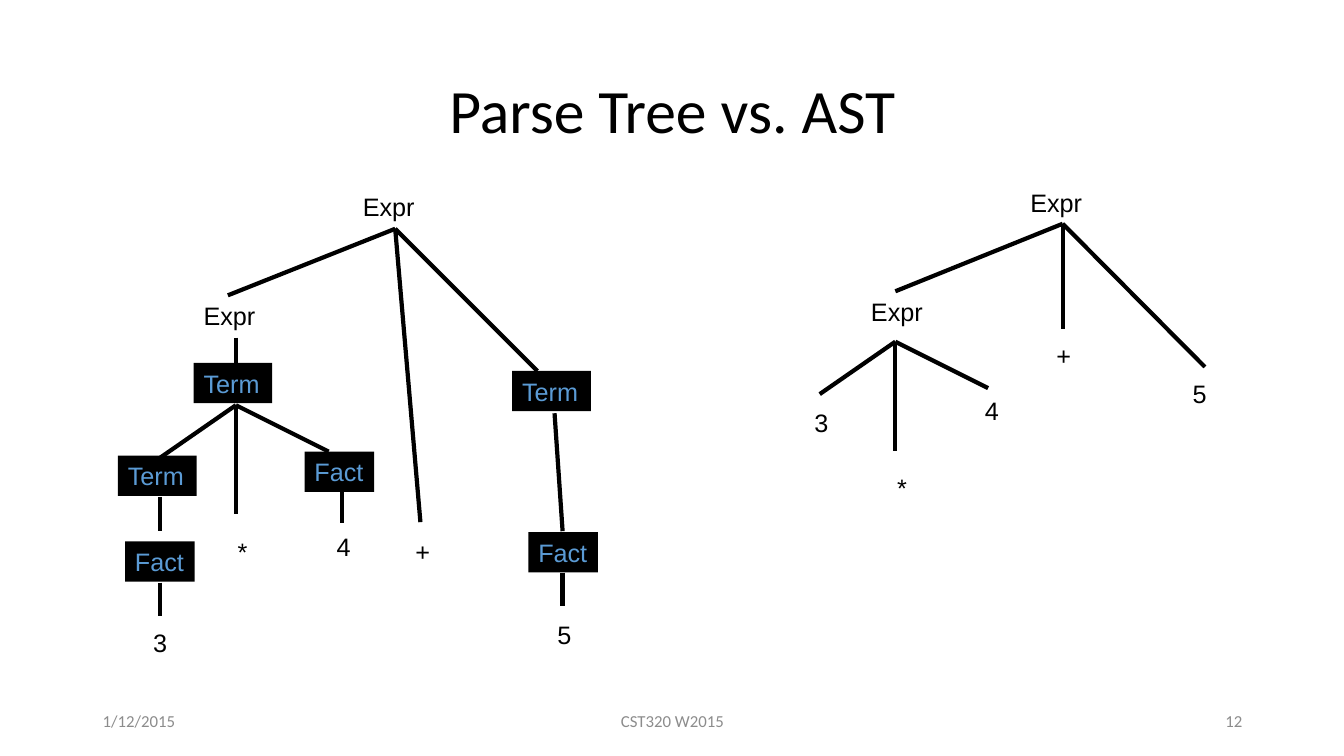
from typing import NamedTuple

from pptx import Presentation
from pptx.dml.color import RGBColor
from pptx.enum.shapes import MSO_CONNECTOR, MSO_SHAPE
from pptx.enum.text import MSO_ANCHOR, MSO_AUTO_SIZE, PP_ALIGN
from pptx.oxml.ns import qn
from pptx.util import Inches, Pt

BLACK = RGBColor(0x00, 0x00, 0x00)
BLUE = RGBColor(0x5B, 0x9B, 0xD5)
GRAY = RGBColor(0x8C, 0x8C, 0x8C)
LEFT, MID, RIGHT = PP_ALIGN.LEFT, PP_ALIGN.CENTER, PP_ALIGN.RIGHT
TOP, CORE = MSO_ANCHOR.TOP, MSO_ANCHOR.MIDDLE
GROW, FIXED = MSO_AUTO_SIZE.SHAPE_TO_FIT_TEXT, MSO_AUTO_SIZE.NONE
RECT, LINE = MSO_SHAPE.RECTANGLE, MSO_CONNECTOR.STRAIGHT

HIGH = 0.4
WIDE = {"Expr": 0.72, "Term": 0.78, "Fact": 0.69, "*": 0.3, "+": 0.35}
DIGIT = 0.34
BOXED = ("Term", "Fact")

Point = tuple[float, float]


class Node(NamedTuple):
    word: str
    left: float
    top: float


class Fan(NamedTuple):
    start: Point
    ends: list[Point]


class Label(NamedTuple):
    text: str
    left: float
    top: float
    width: float
    height: float
    size: int
    color: RGBColor
    align: PP_ALIGN


NODES = [
    # Parse tree
    Node("Expr", 3.5, 1.85), Node("Expr", 1.92, 2.93),
    Node("Term", 1.92, 3.6), Node("Term", 1.17, 4.52), Node("Term", 5.08, 3.68),
    Node("Fact", 1.24, 5.37), Node("Fact", 3.02, 4.48), Node("Fact", 5.24, 5.28),
    Node("3", 1.42, 6.17), Node("*", 2.26, 5.27), Node("4", 3.24, 5.22),
    Node("+", 4.02, 5.27), Node("5", 5.43, 6.09),
    # AST
    Node("Expr", 10.12, 1.81), Node("Expr", 8.54, 2.89),
    Node("3", 7.98, 3.99), Node("*", 8.8, 4.64), Node("4", 9.67, 3.87),
    Node("+", 10.38, 3.33), Node("5", 11.73, 3.7),
]
FANS = [
    # Parse tree
    Fan((3.92, 2.27), [(2.26, 2.93), (4.17, 5.18), (5.33, 3.68)]),
    Fan((2.34, 3.35), [(2.34, 3.68)]),
    Fan((2.34, 4.02), [(1.59, 4.54), (2.34, 5.1), (3.26, 4.48)]),
    Fan((1.59, 4.93), [(1.59, 5.27)]),
    Fan((1.59, 5.78), [(1.59, 6.11)]),
    Fan((3.39, 4.85), [(3.39, 5.19)]),
    Fan((5.5, 4.1), [(5.58, 5.27)]),
    Fan((5.58, 5.68), [(5.58, 6.01)]),
    # AST
    Fan((10.54, 2.22), [(8.88, 2.89), (10.54, 3.26), (11.95, 3.64)]),
    Fan((8.88, 3.39), [(8.13, 3.91), (8.88, 4.47), (9.8, 3.85)]),
]
LABELS = [
    Label("Parse Tree vs. AST", 0.92, 0.4, 11.5, 1.45, 44, BLACK, MID),
    Label("1/12/2015", 0.92, 6.95, 3, HIGH, 12, GRAY, LEFT),
    Label("CST320 W2015", 4.42, 6.95, 4.5, HIGH, 12, GRAY, MID),
    Label("12", 9.42, 6.95, 3, HIGH, 12, GRAY, RIGHT),
]


def apply(target, style: dict) -> None:
    for name, value in style.items():
        setattr(target, name, value)


def write(shape, text: str, frame: dict, para: dict, font: dict, color: RGBColor) -> None:
    body = shape.text_frame
    body.text = text
    apply(body, frame)
    line = body.paragraphs[0]
    apply(line, para)
    run = line.runs[0]
    apply(run.font, font)
    run.font.color.rgb = color


def draw_fan(slide, fan: Fan) -> None:
    for end in fan.ends:
        edge = slide.shapes.add_connector(LINE, *map(Inches, fan.start + end))
        edge.line.color.rgb = BLACK
        edge.line.width = Pt(3)
        props = edge._element.spPr
        props.append(props.makeelement(qn("a:effectLst"), {}))


def draw_node(slide, node: Node) -> None:
    width = WIDE.get(node.word, DIGIT)
    place = [Inches(v) for v in (node.left, node.top, width, HIGH)]
    boxed = node.word in BOXED
    if boxed:
        shape = slide.shapes.add_shape(RECT, *place)
        shape.shadow.inherit = False
        shape.fill.solid()
        shape.fill.fore_color.rgb = BLACK
        shape.line.fill.background()
    else:
        shape = slide.shapes.add_textbox(*place)
    write(shape, node.word,
          {"word_wrap": False, "auto_size": GROW, "vertical_anchor": TOP},
          {"alignment": LEFT}, {"name": "Arial", "size": Pt(18)},
          BLUE if boxed else BLACK)


def draw_label(slide, label: Label) -> None:
    place = (label.left, label.top, label.width, label.height)
    shape = slide.shapes.add_textbox(*map(Inches, place))
    write(shape, label.text,
          {"word_wrap": True, "auto_size": FIXED, "vertical_anchor": CORE},
          {"alignment": label.align, "line_spacing": 0.9 if label.size > 40 else 1.0},
          {"name": "Calibri", "size": Pt(label.size)}, label.color)


deck = Presentation()
apply(deck, {"slide_width": Inches(13.33), "slide_height": Inches(7.5)})
slide = deck.slides.add_slide(deck.slide_layouts[6])

# Title and footer
for label in LABELS:
    draw_label(slide, label)
# Both trees: nodes, then edges
for node in NODES:
    draw_node(slide, node)
for fan in FANS:
    draw_fan(slide, fan)

deck.save("out.pptx")
